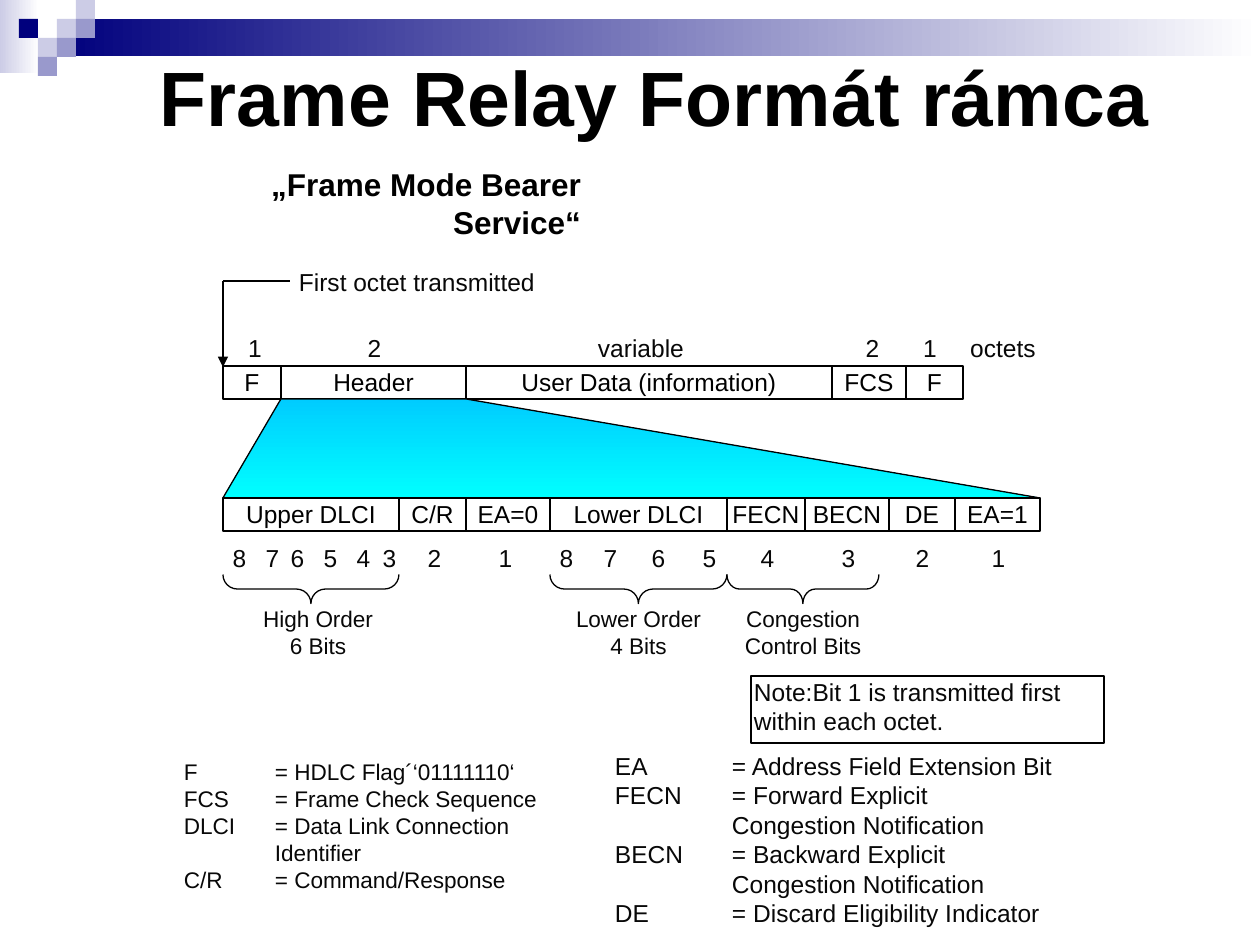
import itertools

import pptx
import pptx.dml.color
import pptx.enum.dml
import pptx.enum.shapes
import pptx.enum.text
import pptx.oxml.ns
import pptx.util
from lxml import etree

SCALE = 914400 / 126
BLACK = pptx.dml.color.RGBColor(0x00, 0x00, 0x00)
INK = pptx.dml.color.RGBColor(0x08, 0x08, 0x08)
WHITE = pptx.dml.color.RGBColor(0xFF, 0xFF, 0xFF)
NAVY = pptx.dml.color.RGBColor(0x00, 0x00, 0x7D)
LILAC = pptx.dml.color.RGBColor(0xCC, 0xCC, 0xE6)
VIOLET = pptx.dml.color.RGBColor(0x99, 0x99, 0xCC)
SKY = pptx.dml.color.RGBColor(0x00, 0xCC, 0xFF)
CYAN = pptx.dml.color.RGBColor(0x00, 0xFF, 0xFF)
SHAPES = pptx.enum.shapes.MSO_SHAPE
ALIGN = pptx.enum.text.PP_ALIGN
ANCHOR = pptx.enum.text.MSO_ANCHOR
AUTO = pptx.enum.text.MSO_AUTO_SIZE
ROW = 33


def px(length):
    """Turn px into EMU."""
    return pptx.util.Emu(round(length * SCALE))


def write(shape, lines, size=14, color=INK, align=ALIGN.CENTER, bold=False, hang=0):
    """Write one paragraph per line into a shape with narrow margins."""
    frame = shape.text_frame
    frame.word_wrap = True
    frame.vertical_anchor = ANCHOR.TOP
    frame.margin_left = frame.margin_right = px(3)
    frame.margin_top = frame.margin_bottom = px(1)
    for index, line in enumerate(lines):
        paragraph = frame.add_paragraph() if index else frame.paragraphs[0]
        paragraph.alignment = align
        if hang:
            properties = paragraph._p.get_or_add_pPr()
            properties.set("marL", str(px(hang)))
            properties.set("indent", str(-px(hang)))
        run = paragraph.add_run()
        run.text = line
        run.font.name = "Arial"
        run.font.size = pptx.util.Pt(size)
        run.font.bold = bold
        run.font.color.rgb = color
    return frame


def label(slide, box, lines, **style):
    """Add a text box."""
    return write(slide.shapes.add_textbox(*map(px, box)), lines, **style)


def outline(shape):
    """Give a shape a thin black line and no shadow."""
    shape.shadow.inherit = False
    shape.line.color.rgb = BLACK
    shape.line.width = pptx.util.Pt(0.75)


def blend(shape, colors, angle):
    """Fill a shape with a two-colour gradient."""
    shape.fill.gradient()
    shape.fill.gradient_angle = angle
    for stop, color in zip(shape.fill.gradient_stops, colors):
        stop.color.rgb = color


def plain_box(slide, box, kind=SHAPES.RECTANGLE):
    """Add an unfilled outlined shape."""
    shape = slide.shapes.add_shape(kind, *map(px, box))
    shape.fill.background()
    outline(shape)
    return shape


def field_row(slide, left, top, edges, names):
    """Place adjoining named fields between consecutive edges."""
    for (start, end), name in zip(itertools.pairwise(edges), names):
        field = plain_box(slide, (left + start, top, end - start, ROW))
        write(field, [name], color=BLACK)


def corner_band(slide, left, top):
    """Place the gradient band and the mosaic of squares."""
    bands = [((0, 0, 39, 73), LILAC), ((57, 19, 1203, 37), NAVY)]
    for (x, y, width, height), color in bands:
        band = slide.shapes.add_shape(
            SHAPES.RECTANGLE, *map(px, (left + x, top + y, width, height)))
        band.shadow.inherit = False
        band.line.fill.background()
        blend(band, (color, WHITE), 0)
    mosaic = [(3, 1, LILAC), (4, 0, LILAC), (4, 1, VIOLET), (2, 2, LILAC),
              (1, 1, NAVY), (3, 2, VIOLET), (2, 3, VIOLET)]
    for column, row, color in mosaic:
        tile = slide.shapes.add_shape(
            SHAPES.RECTANGLE, px(left + 19 * column), px(top + 19 * row), px(19), px(19))
        tile.shadow.inherit = False
        tile.line.fill.background()
        tile.fill.solid()
        tile.fill.fore_color.rgb = color


def headings(slide, left, top):
    """Place the title and the service name."""
    title = slide.shapes.title
    title.left, title.top, title.width, title.height = map(px, (left + 24, top, 1027, 94))
    frame = write(title, ["Frame Relay Formát rámca"], 44, BLACK, ALIGN.LEFT, True)
    frame.auto_size = AUTO.NONE
    frame.vertical_anchor = ANCHOR.MIDDLE
    frame.margin_left = frame.margin_right = px(13)
    service = label(slide, (left, top + 148, 471, 50), ["„Frame Mode Bearer Service“"],
                    size=18, color=BLACK, align=ALIGN.RIGHT, bold=True)
    service.word_wrap = False
    service.auto_size = AUTO.SHAPE_TO_FIT_TEXT
    service.vertical_anchor = ANCHOR.BOTTOM
    service.margin_left = service.margin_right = px(13)
    service.margin_top = service.margin_bottom = px(6)


def first_octet(slide, left, top):
    """Place the bent arrow to the first octet and its caption."""
    for end_x, end_y, arrow in [(0, 86, True), (67, 0, False)]:
        line = slide.shapes.add_connector(
            pptx.enum.shapes.MSO_CONNECTOR.STRAIGHT,
            px(left), px(top), px(left + end_x), px(top + end_y))
        line.line.color.rgb = BLACK
        line.line.width = pptx.util.Pt(0.75)
        if arrow:
            tail = etree.SubElement(line.line._get_or_add_ln(), pptx.oxml.ns.qn("a:tailEnd"))
            tail.set("type", "triangle")
        etree.SubElement(line._element.spPr, pptx.oxml.ns.qn("a:effectLst"))
    label(slide, (left + 73, top - 15, 287, ROW), ["First octet transmitted"], align=ALIGN.LEFT)


def frame_fields(slide, left, top):
    """Place the frame row with the octet counts above it."""
    counts = [(15, 34, "1"), (135, 33, "2"), (339, 158, "variable"),
              (633, 33, "2"), (690, 34, "1"), (701, 158, "octets")]
    for x, width, count in counts:
        label(slide, (left + x, top, width, ROW), [count])
    field_row(slide, left, top + 34, (0, 58, 243, 609, 683, 740),
              ("F", "Header", "User Data (information)", "FCS", "F"))


def zoom_wedge(slide, left, top):
    """Place the wedge that widens the header into its fields."""
    builder = slide.shapes.build_freeform(left, top + 99, SCALE)
    builder.add_line_segments(
        [(left + 58, top), (left + 243, top), (left + 817, top + 99)], close=True)
    wedge = builder.convert_to_shape()
    outline(wedge)
    blend(wedge, (SKY, CYAN), 270)


def header_fields(slide, left, top):
    """Place the header row, its bit numbers and the braced groups."""
    field_row(slide, left, top, (0, 176, 243, 327, 504, 582, 666, 732, 817),
              ("Upper DLCI", "C/R", "EA=0", "Lower DLCI", "FECN", "BECN", "DE", "EA=1"))
    bit_lefts = (0, 33, 58, 91, 124, 150, 195, 266, 327, 371, 419, 470, 528, 609, 683, 759)
    for x, bit in zip(bit_lefts, "8765432187654321"):
        label(slide, (left + x, top + 44, ROW, ROW), [bit])
    groups = [(0, 176, 0.5, 7, ("High Order", "6 Bits")),
              (327, 177, 0.5, 0, ("Lower Order", "4 Bits")),
              (504, 152, 0.43, 0, ("Congestion Control Bits",))]
    depth = 29
    for x, span, curve, shift, caption in groups:
        center_x, center_y = left + x + span / 2, top + 91
        brace = plain_box(
            slide, (center_x - depth / 2, center_y - span / 2, depth, span), SHAPES.LEFT_BRACE)
        brace.rotation = 270
        brace.adjustments[0] = curve
        label(slide, (left + x + shift, top + 106, span, 58), caption, size=12.9)


def notes_and_legend(slide, left, top):
    """Place the boxed note and the two lists of abbreviations."""
    write(plain_box(slide, (left + 570, top, 353, 67)),
          ["Note:Bit 1 is transmitted first within each octet."], align=ALIGN.LEFT)
    label(slide, (left, top + 81, 411, 149),
          ["F\t= HDLC Flag´‘01111110‘", "FCS\t= Frame Check Sequence",
           "DLCI\t= Data Link Connection Identifier", "C/R\t= Command/Response"],
          size=12.9, align=ALIGN.LEFT, hang=91)
    label(slide, (left + 431, top + 74, 446, 190),
          ["EA\t= Address Field Extension Bit",
           "FECN\t= Forward Explicit Congestion Notification",
           "BECN\t= Backward Explicit Congestion Notification",
           "DE\t= Discard Eligibility Indicator"],
          align=ALIGN.LEFT, hang=117)


def main():
    """Build the frame format slide."""
    presentation = pptx.Presentation()
    presentation.slide_width, presentation.slide_height = px(1260), px(945)
    slide = presentation.slides.add_slide(presentation.slide_layouts[5])
    corner_band(slide, 0, 0)
    headings(slide, 123, 49)
    frame_fields(slide, 223, 332)
    zoom_wedge(slide, 223, 399)
    header_fields(slide, 223, 498)
    first_octet(slide, 223, 281)
    notes_and_legend(slide, 181, 676)
    presentation.save("out.pptx")


if __name__ == "__main__":
    main()
